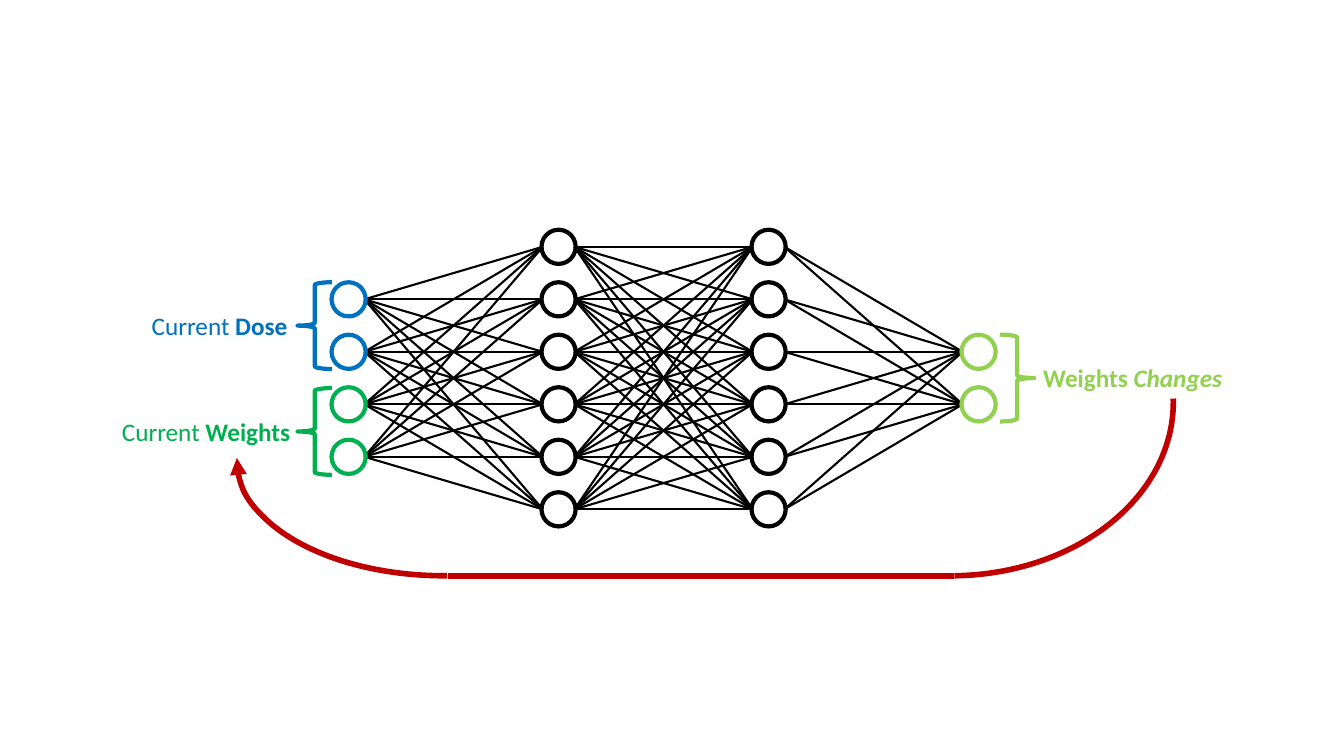
from dataclasses import dataclass
from itertools import product

import pptx
import pptx.dml.color
import pptx.enum.shapes
import pptx.enum.text
import pptx.oxml
import pptx.oxml.ns
import pptx.shapes.autoshape
import pptx.shapes.shapetree
import pptx.util
from pptx.dml.color import RGBColor
from pptx.enum.shapes import MSO_SHAPE
from pptx.enum.text import PP_ALIGN
from pptx.util import Pt

BLACK = RGBColor(0x00, 0x00, 0x00)
BLUE = RGBColor(0x00, 0x70, 0xC0)
GREEN = RGBColor(0x00, 0xB0, 0x50)
LIME = RGBColor(0x92, 0xD0, 0x50)
RED = RGBColor(0xC0, 0x00, 0x00)

NODE_DIAMETER = 24.4
LINK_REACH = 11.3  # from a node's centre to the end of its links
FIRST_ROW, ROW_PITCH = 176.3, 37.5
FIRST_COLUMN, COLUMN_PITCH = 249, 150
LOOP_WIDTH = 4


@dataclass(frozen=True)
class Layer:
    first_row: int
    colors: tuple[RGBColor, ...]

    def centers(self) -> list[float]:
        return [FIRST_ROW + ROW_PITCH * (self.first_row + index)
                for index in range(len(self.colors))]


@dataclass(frozen=True)
class Run:
    text: str
    bold: bool = False
    italic: bool = False


@dataclass(frozen=True)
class Label:
    left: float
    top: float
    width: float
    align: PP_ALIGN
    color: RGBColor
    runs: tuple[Run, ...]


@dataclass(frozen=True)
class Brace:
    left: float
    top: float
    color: RGBColor
    rotation: float = 0


@dataclass(frozen=True)
class Arc:
    left: float
    top: float
    width: float
    height: float
    start: float
    end: float
    arrow: bool = False


LAYERS = (
    Layer(1, (BLUE, BLUE, GREEN, GREEN)),
    Layer(0, (BLACK,) * 6),
    Layer(0, (BLACK,) * 6),
    Layer(2, (LIME, LIME)),
)
LABELS = (
    Label(99.4, 218.2, 113, PP_ALIGN.RIGHT, BLUE,
          (Run("Current"), Run(" Dose", bold=True))),
    Label(79.9, 293.8, 134.6, PP_ALIGN.RIGHT, GREEN,
          (Run("Current "), Run("Weights", bold=True))),
    Label(738, 255.6, 142.6, PP_ALIGN.LEFT, LIME,
          (Run("Weights ", bold=True), Run("Changes", bold=True, italic=True))),
)
BRACES = (
    Brace(212.6, 201.6, BLUE),
    Brace(212.6, 277.2, GREEN),
    Brace(714.2, 239, LIME, rotation=180),
)
ARCS = (
    Arc(520.6, 163.4, 317.5, 247.9, 215.42, 53.34),
    Arc(169.2, 246.4, 295.9, 164.9, 53.1, 108.38, arrow=True),
)


def column_center(column: int) -> float:
    return FIRST_COLUMN + COLUMN_PITCH * column


def set_outline(shape: pptx.shapes.autoshape.Shape, color: RGBColor, width: float) -> None:
    """Leave only a plain line: no fill and no shadow."""
    shape.shadow.inherit = False
    shape.fill.background()
    shape.line.color.rgb = color
    shape.line.width = Pt(width)


def draw_links(shapes: pptx.shapes.shapetree.GroupShapes, column: int) -> None:
    """Join every node of a layer to every node of the next one, as one outline."""
    left = Pt(column_center(column) + LINK_REACH)
    right = Pt(column_center(column + 1) - LINK_REACH)
    links = product(LAYERS[column].centers(), LAYERS[column + 1].centers())
    first_start, first_end = next(links)
    builder = shapes.build_freeform(left, Pt(first_start))
    builder.add_line_segments([(right, Pt(first_end))], close=False)
    for start, end in links:
        builder.move_to(left, Pt(start))
        builder.add_line_segments([(right, Pt(end))], close=False)
    set_outline(builder.convert_to_shape(), BLACK, 1.5)


def draw_nodes(shapes: pptx.shapes.shapetree.GroupShapes, column: int) -> None:
    layer = LAYERS[column]
    radius = NODE_DIAMETER / 2
    for center, color in zip(layer.centers(), layer.colors):
        node = shapes.add_shape(
            MSO_SHAPE.OVAL, Pt(column_center(column) - radius), Pt(center - radius),
            Pt(NODE_DIAMETER), Pt(NODE_DIAMETER))
        set_outline(node, color, 3)


def draw_brace(shapes: pptx.shapes.shapetree.GroupShapes, brace: Brace) -> None:
    shape = shapes.add_shape(
        MSO_SHAPE.LEFT_BRACE, Pt(brace.left), Pt(brace.top), Pt(24.5), Pt(62))
    shape.rotation = brace.rotation
    set_outline(shape, brace.color, 3)


def draw_label(shapes: pptx.shapes.shapetree.GroupShapes, label: Label) -> None:
    box = shapes.add_textbox(Pt(label.left), Pt(label.top), Pt(label.width), Pt(29.08))
    box.text_frame.word_wrap = False
    box.text_frame.auto_size = pptx.enum.text.MSO_AUTO_SIZE.SHAPE_TO_FIT_TEXT
    paragraph = box.text_frame.paragraphs[0]
    paragraph.alignment = label.align
    for part in label.runs:
        run = paragraph.add_run()
        run.text = part.text
        run.font.name = "Calibri"
        run.font.size = Pt(18)
        run.font.bold = part.bold
        run.font.italic = part.italic
        run.font.color.rgb = label.color


def draw_arc(shapes: pptx.shapes.shapetree.SlideShapes, arc: Arc) -> None:
    shape = shapes.add_shape(
        MSO_SHAPE.ARC, Pt(arc.left), Pt(arc.top), Pt(arc.width), Pt(arc.height))
    shape.adjustments[0] = arc.start
    shape.adjustments[1] = arc.end
    set_outline(shape, RED, LOOP_WIDTH)
    if arc.arrow:
        tail = pptx.oxml.parse_xml(
            f'<a:tailEnd {pptx.oxml.ns.nsdecls("a")} type="triangle"/>')
        shape.line._get_or_add_ln().append(tail)


def draw_loop_base(shapes: pptx.shapes.shapetree.SlideShapes) -> None:
    base = shapes.add_connector(
        pptx.enum.shapes.MSO_CONNECTOR.STRAIGHT, Pt(319.7), Pt(411.5), Pt(681.8), Pt(411.5))
    base.line.color.rgb = RED
    base.line.width = Pt(LOOP_WIDTH)
    base._element.spPr.append(
        pptx.oxml.parse_xml(f'<a:effectLst {pptx.oxml.ns.nsdecls("a")}/>'))


def main() -> None:
    presentation = pptx.Presentation()
    presentation.slide_width = Pt(960)
    presentation.slide_height = Pt(540)
    slide = presentation.slides.add_slide(presentation.slide_layouts[6])

    network = slide.shapes.add_group_shape().shapes
    for column in range(len(LAYERS) - 1):
        draw_links(network, column)
    for column in range(len(LAYERS)):
        draw_nodes(network, column)
    for brace in BRACES:
        draw_brace(network, brace)
    for label in LABELS:
        draw_label(network, label)

    for arc in ARCS:
        draw_arc(slide.shapes, arc)
    draw_loop_base(slide.shapes)
    presentation.save("out.pptx")


if __name__ == "__main__":
    main()
